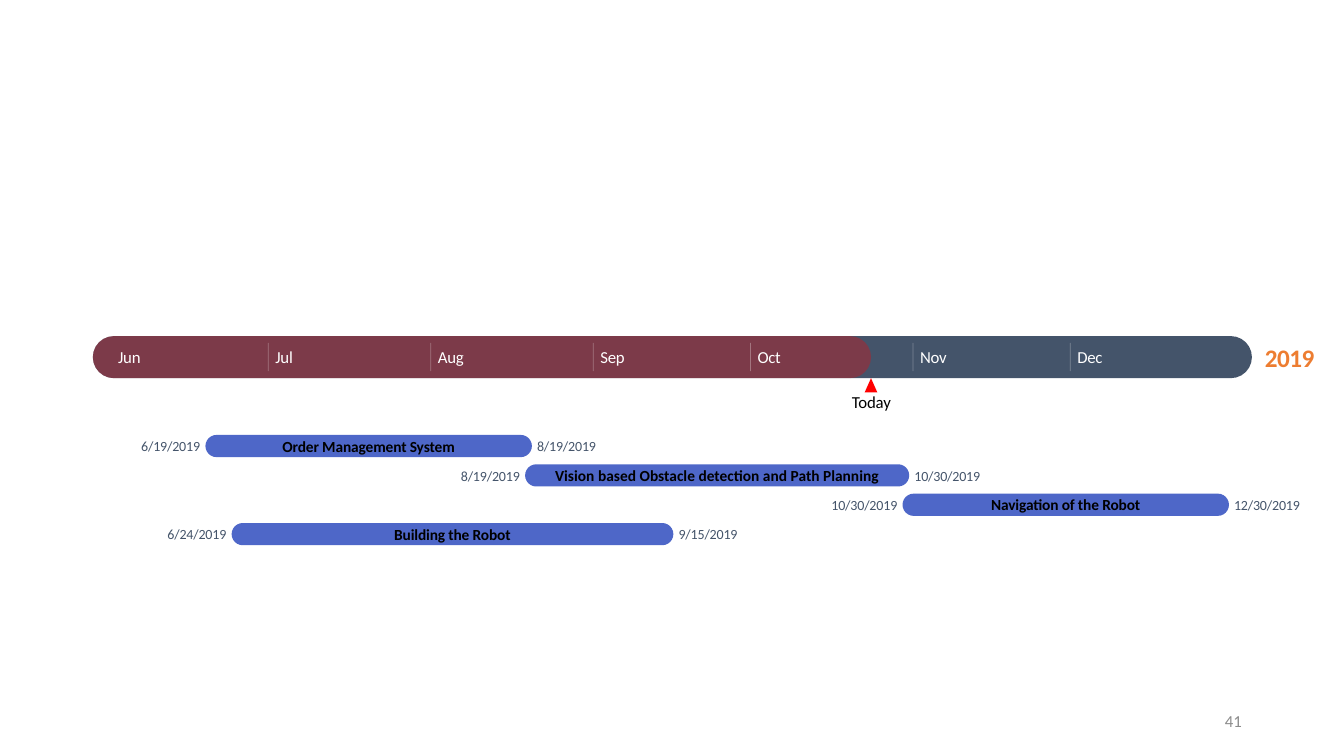
from pptx import Presentation
from pptx.dml.color import RGBColor
from pptx.enum.shapes import MSO_CONNECTOR, MSO_SHAPE as Shape
from pptx.enum.text import MSO_ANCHOR as Anchor, PP_ALIGN as Align
from pptx.oxml.ns import qn
from pptx.util import Cm, Pt
from lxml import etree

WHITE = RGBColor(0xFF, 0xFF, 0xFF)
BLACK = RGBColor(0x00, 0x00, 0x00)
RED = RGBColor(0xFF, 0x00, 0x00)
SLATE = RGBColor(0x44, 0x54, 0x6A)
BLUE = RGBColor(0x4E, 0x67, 0xC8)
ORANGE = RGBColor(0xED, 0x7D, 0x31)
GRAY = RGBColor(0x8C, 0x8C, 0x8C)

# Time scale in centimetres: days are counted from 1 June
MONTHS = {"Jun": 0, "Jul": 30, "Aug": 61, "Sep": 92, "Oct": 122, "Nov": 153, "Dec": 183}
MONTH_STARTS = list(MONTHS.values())
JUNE_X, DECEMBER_X = 2.8, 26.97
DAY_WIDTH = (DECEMBER_X - JUNE_X) / MONTHS["Dec"]
TODAY_X = JUNE_X + 145 * DAY_WIDTH

BAND_LEFT, BAND_TOP, BAND_WIDTH, BAND_HEIGHT = 2.34, 8.47, 29.21, 1.06
TASK_TOP, TASK_PITCH, TASK_HEIGHT = 10.96, 0.74, 0.56
DATE_GAP = 0.1
TASKS = [
    ("Order Management System", "6/19/2019", "8/19/2019"),
    ("Vision based Obstacle detection and Path Planning", "8/19/2019", "10/30/2019"),
    ("Navigation of the Robot", "10/30/2019", "12/30/2019"),
    ("Building the Robot", "6/24/2019", "9/15/2019"),
]

presentation = Presentation()
presentation.slide_width, presentation.slide_height = Cm(33.87), Cm(19.05)
slide = presentation.slides.add_slide(presentation.slide_layouts[6])


def add_solid(kind, left, top, width, height, color):
    shape = slide.shapes.add_shape(kind, Cm(left), Cm(top), Cm(width), Cm(height))
    shape.shadow.inherit = False
    shape.fill.solid()
    shape.fill.fore_color.rgb = color
    shape.line.fill.background()
    if kind == Shape.ROUNDED_RECTANGLE:
        shape.adjustments[0] = 0.5
    return shape


def write(shape, text, size, color, align=Align.CENTER, bold=False, spacing=-10):
    frame = shape.text_frame
    frame.margin_left = frame.margin_right = frame.margin_top = frame.margin_bottom = 0
    frame.vertical_anchor = Anchor.MIDDLE
    frame.word_wrap = False
    paragraph = frame.paragraphs[0]
    paragraph.alignment = align
    run = paragraph.add_run()
    run.text = text
    run._r.get_or_add_rPr().set("spc", str(spacing))
    paragraph.font.name = "Calibri"
    paragraph.font.size = Pt(size)
    paragraph.font.bold = bold
    paragraph.font.color.rgb = color


# Page number and year
page_number = slide.shapes.add_textbox(Cm(23.93), Cm(17.65), Cm(7.62), Cm(1.02))
write(page_number, "41", 12, GRAY, Align.RIGHT, spacing=0)
page_number.text_frame.margin_right = Cm(0.25)
year = slide.shapes.add_textbox(Cm(31.8), Cm(8.61), Cm(1.4), Cm(0.79))
write(year, "2019", 18, ORANGE, bold=True, spacing=-40)

# Time band with the elapsed part tinted red
add_solid(Shape.ROUNDED_RECTANGLE, BAND_LEFT, BAND_TOP, BAND_WIDTH, BAND_HEIGHT, SLATE)
elapsed = add_solid(Shape.ROUNDED_RECTANGLE, BAND_LEFT, BAND_TOP,
                    TODAY_X - BAND_LEFT, BAND_HEIGHT, RED)
elapsed_color = elapsed.fill._xPr.find(qn("a:solidFill"))[0]
etree.SubElement(elapsed_color, qn("a:alpha"), val="30000")

# Today marker
add_solid(Shape.ISOSCELES_TRIANGLE, TODAY_X - 0.16, BAND_TOP + BAND_HEIGHT, 0.32, 0.36, RED)
today = slide.shapes.add_textbox(Cm(TODAY_X - 0.52), Cm(9.88), Cm(1.06), Cm(0.51))
write(today, "Today", 12, BLACK)

# Months, each after June opened by a thin divider
for month, day in MONTHS.items():
    month_x = JUNE_X + day * DAY_WIDTH
    if day:
        divider = slide.shapes.add_connector(
            MSO_CONNECTOR.STRAIGHT, Cm(month_x), Cm(8.64), Cm(month_x), Cm(9.35))
        divider.line.width = Pt(0.5)
        divider.line.color.rgb = WHITE
        divider_color = divider.line._ln.find(qn("a:solidFill"))[0]
        etree.SubElement(divider_color, qn("a:alpha"), val="30000")
        etree.SubElement(divider._element.spPr, qn("a:effectLst"))
    label = slide.shapes.add_textbox(Cm(month_x + 0.18), Cm(8.74), Cm(0.8), Cm(0.51))
    write(label, month, 12, WHITE, Align.LEFT, spacing=-20)

# Tasks: a bar with its dates on both sides
for row, (task, start, end) in enumerate(TASKS):
    top = TASK_TOP + row * TASK_PITCH
    edges = []
    for date in (start, end):
        month, day, _ = map(int, date.split("/"))
        edges.append(JUNE_X + (MONTH_STARTS[month - 6] + day - 1) * DAY_WIDTH)
    left, right = edges[0], edges[1] + 0.17
    bar = add_solid(Shape.ROUNDED_RECTANGLE, left, top, right - left, TASK_HEIGHT, BLUE)
    write(bar, task, 11, BLACK, bold=True, spacing=0 if len(task) > 40 else -10)
    start_width, end_width = 0.02 + 0.17 * len(start), 0.02 + 0.17 * len(end)
    for date, date_left, width in ((start, left - DATE_GAP - start_width, start_width),
                                   (end, right + DATE_GAP, end_width)):
        date_label = slide.shapes.add_textbox(Cm(date_left), Cm(top + 0.07), Cm(width), Cm(0.43))
        write(date_label, date, 10, SLATE)

presentation.save("out.pptx")
